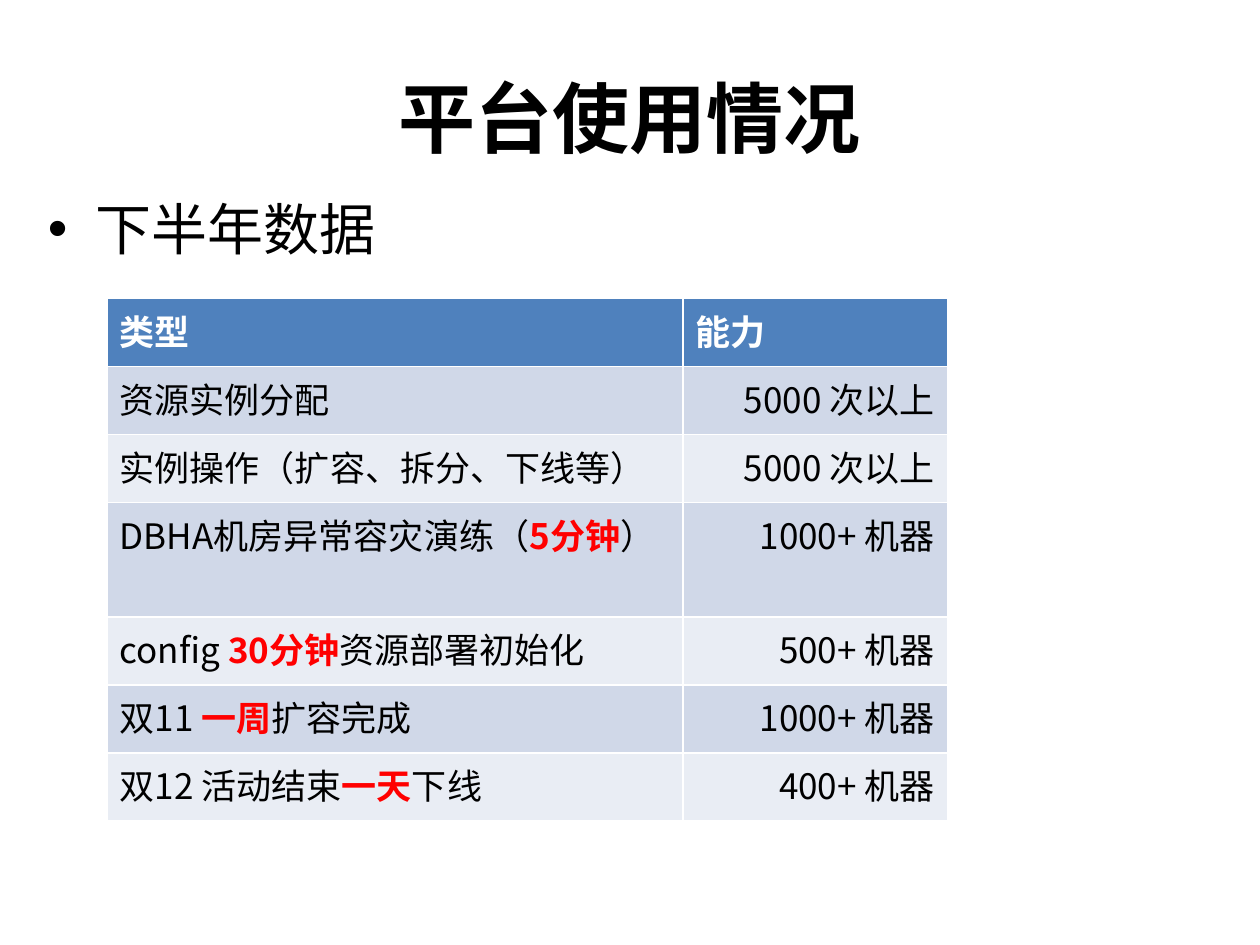
from dataclasses import dataclass

from lxml import etree
from pptx import Presentation
from pptx.dml.color import RGBColor
from pptx.enum.text import PP_ALIGN
from pptx.oxml.ns import qn
from pptx.util import Inches, Pt

LEFT, CENTER, RIGHT = PP_ALIGN.LEFT, PP_ALIGN.CENTER, PP_ALIGN.RIGHT
FONT = "Noto Sans CJK SC"
BLACK, WHITE, RED = "000000", "FFFFFF", "FF0000"
HEADER_FILL = "4F81BD"
BAND_FILLS = ("D0D8E8", "E9EDF4")
COLUMN_WIDTHS = (4.57, 2.1)
ROW_HEIGHT = 0.54


@dataclass(frozen=True)
class UsageRow:
    """One table row; the highlight stands between before and after."""
    capacity: str
    before: str
    highlight: str = ""
    after: str = ""


HEADINGS = ("类型", "能力")
USAGE_ROWS = (
    UsageRow("5000 次以上", "资源实例分配"),
    UsageRow("5000 次以上", "实例操作（扩容、拆分、下线等）"),
    UsageRow("1000+ 机器", "DBHA机房异常容灾演练（", "5分钟", "）"),
    UsageRow("500+ 机器", "config ", "30分钟", "资源部署初始化"),
    UsageRow("1000+ 机器", "双11 ", "一周", "扩容完成"),
    UsageRow("400+ 机器", "双12 活动结束", "一天", "下线"),
)


def rgb(color: str) -> RGBColor:
    return RGBColor.from_string(color)


def add_text(paragraph, text: str, *, size: float = 20, color: str = BLACK,
             bold: bool = False, align: PP_ALIGN = LEFT) -> None:
    paragraph.alignment = align
    run = paragraph.add_run()
    run.text = text
    run.font.size = Pt(size)
    run.font.bold = bold
    run.font.color.rgb = rgb(color)
    run.font.name = FONT
    properties = run._r.get_or_add_rPr()
    etree.SubElement(properties, qn("a:ea")).set("typeface", FONT)


def place(shape, left: float, top: float, width: float, height: float) -> None:
    shape.left, shape.top = Inches(left), Inches(top)
    shape.width, shape.height = Inches(width), Inches(height)


def fill_cell(cell, color: str):
    """Colour the cell and return its first paragraph."""
    cell.fill.solid()
    cell.fill.fore_color.rgb = rgb(color)
    return cell.text_frame.paragraphs[0]


def add_usage_table(slide, left: float, top: float) -> None:
    row_count = len(USAGE_ROWS) + 1
    table = slide.shapes.add_table(
        row_count, len(HEADINGS), Inches(left), Inches(top),
        Inches(sum(COLUMN_WIDTHS)), Inches(ROW_HEIGHT * row_count)).table
    for column, width in zip(table.columns, COLUMN_WIDTHS):
        column.width = Inches(width)
    for index, heading in enumerate(HEADINGS):
        paragraph = fill_cell(table.cell(0, index), HEADER_FILL)
        add_text(paragraph, heading, color=WHITE, bold=True)
    for index, usage in enumerate(USAGE_ROWS):
        band = BAND_FILLS[index % 2]
        kind = fill_cell(table.cell(index + 1, 0), band)
        add_text(kind, usage.before)
        if usage.highlight:
            add_text(kind, usage.highlight, color=RED, bold=True)
            add_text(kind, usage.after)
        capacity = fill_cell(table.cell(index + 1, 1), band)
        add_text(capacity, usage.capacity, align=RIGHT)


def main() -> None:
    presentation = Presentation()
    presentation.slide_width, presentation.slide_height = Inches(10), Inches(7.5)
    slide = presentation.slides.add_slide(presentation.slide_layouts[1])

    title = slide.shapes.title
    place(title, 0.5, 0.3, 9, 1.25)
    add_text(title.text_frame.paragraphs[0], "平台使用情况",
             size=44, bold=True, align=CENTER)

    body = slide.placeholders[1]
    place(body, 0.28, 1.39, 9.22, 5.31)
    bullet = body.text_frame.paragraphs[0]
    bullet.line_spacing = 1.2
    add_text(bullet, "下半年数据", size=32)

    add_usage_table(slide, 0.85, 2.37)
    presentation.save("out.pptx")


if __name__ == "__main__":
    main()
